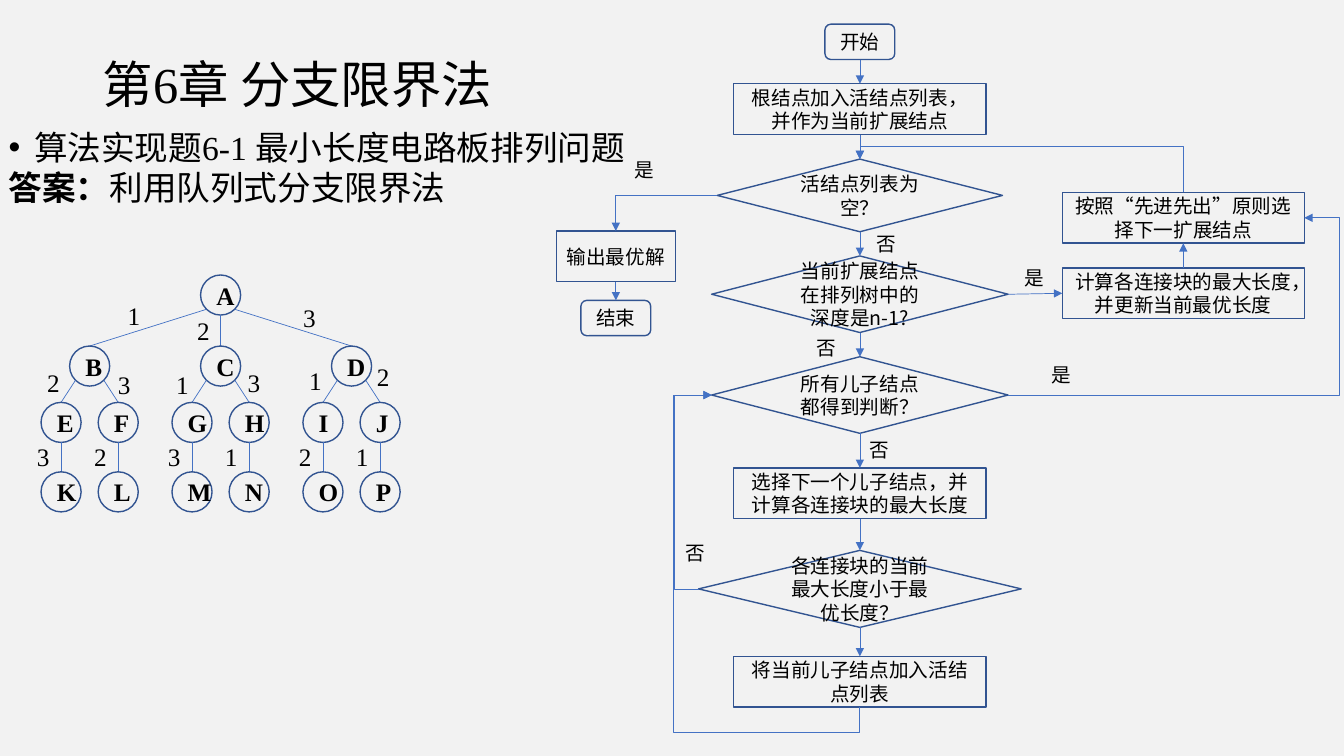
from lxml import etree
from pptx import Presentation
from pptx.dml.color import RGBColor
from pptx.enum import shapes as es, text as et
from pptx.oxml import ns
from pptx.util import Cm, Pt

# Content
TITLE = "第6章 分支限界法"
TOPIC = "算法实现题6-1 最小长度电路板排列问题"
ANSWER = [("答案：", True), ("利用队列式分支限界法", False)]

# Tree: (name, edge label, label left, label top), then inner nodes each with a leaf
TREE = [
    (("B", "1", 2.97, 7.44), [(("E", "2", 0.94, 9.14), ("K", "3")),
                              (("F", "3", 2.72, 9.17), ("L", "2"))]),
    (("C", "2", 4.72, 7.82), [(("G", "1", 4.19, 9.19), ("M", "3")),
                              (("H", "3", 5.99, 9.14), ("N", "1"))]),
    (("D", "3", 7.39, 7.49), [(("I", "1", 7.54, 9.07), ("O", "2")),
                              (("J", "2", 9.25, 8.99), ("P", "1"))]),
]
LEVELS = [6.93, 8.72, 10.14, 11.89]
ROOT_X, STEP, SPREAD, DIAM = 5.56, 3.3, 0.72, 1.01

# Flowchart: name: (kind, centre x, top, text)
MAIN, LEFT, RIGHT = 21.67, 15.52, 29.82
SIZES = {"round": (1.76, 0.89), "wide": (6.36, 1.28), "side": (6.1, 1.28),
         "small": (3, 1.28), "ask": (7.19, 1.83), "check": (7.47, 1.93),
         "test": (8.13, 1.94)}
BOXES = {
    "start": ("round", MAIN, 0.61, "开始"),
    "root": ("wide", MAIN, 2.11, "根结点加入活结点列表，并作为当前扩展结点"),
    "empty": ("ask", MAIN, 4.01, "活结点列表为空？"),
    "depth": ("check", MAIN, 6.45, "当前扩展结点在排列树中的深度是n-1?"),
    "kids": ("check", MAIN, 8.99, "所有儿子结点都得到判断？"),
    "pick": ("wide", MAIN, 11.79, "选择下一个儿子结点，并计算各连接块的最大长度"),
    "less": ("test", MAIN, 13.87, "各连接块的当前最大长度小于最优长度？"),
    "add": ("wide", MAIN, 16.54, "将当前儿子结点加入活结点列表"),
    "best": ("small", LEFT, 5.82, "输出最优解"),
    "end": ("round", LEFT, 7.57, "结束"),
    "calc": ("side", RIGHT, 6.75, "计算各连接块的最大长度，并更新当前最优长度"),
    "next": ("side", RIGHT, 4.85, "按照“先进先出”原则选择下一扩展结点"),
}
SPINE = ["start", "root", "empty", "depth", "kids", "pick", "less", "add"]
ARROWS = [(a, 2, b, 0) for a, b in zip(SPINE, SPINE[1:])] + [
    ("best", 2, "end", 0), ("depth", 3, "calc", 1), ("calc", 0, "next", 2)]
# Bent arrows: ends, then rotation, flip and bends
BENDS = [
    ("empty", 1, "best", 0, 180, "flipV", []),
    ("next", 0, "empty", 0, 270, "flipV", [1.39]),
    ("kids", 3, "next", 3, 0, "flipV", [1.12]),
    ("less", 1, "kids", 1, 180, "flipH", [-1.87]),
    ("add", 2, "kids", 1, 90, "flipH", [-0.08, 1.26]),
]
MARKS = [("是", 15.75, 3.86), ("否", 21.84, 5.72), ("否", 20.32, 8.33),
         ("是", 25.58, 6.58), ("否", 21.67, 10.92), ("否", 17.02, 13.51),
         ("是", 26.26, 9.02)]

# Style
BLACK = RGBColor(0, 0, 0)
EDGE = RGBColor(0x32, 0x54, 0x91)
BLUE = RGBColor(0x44, 0x72, 0xC4)
PAPER = RGBColor(0xF2, 0xF2, 0xF2)
SERIF, SANS = "Times New Roman", "Noto Sans CJK SC"
KINDS = es.MSO_SHAPE
FORMS = {"round": KINDS.FLOWCHART_ALTERNATE_PROCESS,
         "ask": KINDS.FLOWCHART_DECISION, "check": KINDS.FLOWCHART_DECISION,
         "test": KINDS.FLOWCHART_DECISION}

deck = Presentation()
deck.slide_width, deck.slide_height = Cm(33.87), Cm(19.05)
slide = deck.slides.add_slide(deck.slide_layouts[6])
slide.background.fill.solid()
slide.background.fill.fore_color.rgb = PAPER
items = slide.shapes


def write(par, words, size=18, face=SERIF, bold=False, align=None):
    run = par.add_run()
    run.text = words
    run.font.size, run.font.name, run.font.bold = Pt(size), face, bold
    run.font.color.rgb = BLACK
    if align is not None:
        par.alignment = align


def field(x, y, w, h, wrap=False):
    frame = items.add_textbox(Cm(x), Cm(y), Cm(w), Cm(h)).text_frame
    frame.word_wrap = wrap
    return frame


def node(form, mid, top, w, h, words, **style):
    box = items.add_shape(form, Cm(mid - w / 2), Cm(top), Cm(w), Cm(h))
    box.shadow.inherit = False
    box.fill.background()
    box.line.color.rgb, box.line.width = EDGE, Pt(1)
    box.text_frame.vertical_anchor = et.MSO_ANCHOR.MIDDLE
    write(box.text_frame.paragraphs[0], words, align=et.PP_ALIGN.CENTER, **style)
    return box


def line(x1=0, y1=0, x2=0, y2=0, kind=es.MSO_CONNECTOR.STRAIGHT):
    link = items.add_connector(kind, Cm(x1), Cm(y1), Cm(x2), Cm(y2))
    link.line.color.rgb, link.line.width = BLUE, Pt(0.5)
    etree.SubElement(link.element.spPr, ns.qn("a:effectLst"))
    return link


def arrow(a, out, b, into, **style):
    link = line(**style)
    link.begin_connect(nodes[a], out)
    link.end_connect(nodes[b], into)
    stroke = link.element.spPr.find(ns.qn("a:ln"))
    etree.SubElement(stroke, ns.qn("a:tailEnd"), type="triangle")
    return link


def bend(a, out, b, into, turn, flip, stops):
    link = arrow(a, out, b, into, kind=es.MSO_CONNECTOR.ELBOW)
    x, y, w, h = link.left, link.top, link.width, link.height
    if turn % 180:
        x, y, w, h = x + (w - h) // 2, y + (h - w) // 2, h, w
    link.left, link.top, link.width, link.height = x, y, w, h
    frame = link.element.spPr.find(ns.qn("a:xfrm"))
    for name in ("flipH", "flipV"):
        frame.attrib.pop(name, None)
    frame.set("rot", str(turn * 60000))
    frame.set(flip, "1")
    geom = link.element.spPr.find(ns.qn("a:prstGeom"))
    geom.set("prst", f"bentConnector{len(stops) + 2}")
    guides = geom.find(ns.qn("a:avLst"))
    for i, stop in enumerate(stops, 1):
        etree.SubElement(guides, ns.qn("a:gd"), name=f"adj{i}",
                         fmla=f"val {round(stop * 100000)}")


def circle(name, x, level):
    node(KINDS.OVAL, x, LEVELS[level], DIAM, DIAM, name, bold=True)


def branch(name, mark, x, level, base, left, top):
    """Draws a node, the edge from its parent at base, and the edge label."""
    side = (x > base) - (x < base)
    drop = 0.36 if side else DIAM / 2
    line(base + 0.36 * side, LEVELS[level - 1] + DIAM / 2 + drop, x, LEVELS[level])
    circle(name, x, level)
    write(field(left, top, 0.86, 1.02).paragraphs[0], mark)


# Title and body
frame = field(2.34, 1.02, 29.21, 2.36, wrap=True)
frame.vertical_anchor = et.MSO_ANCHOR.MIDDLE
frame.paragraphs[0].line_spacing = 0.9
write(frame.paragraphs[0], TITLE, size=36)

frame = field(-0.03, 3.07, 16.18, 2.67, wrap=True)
topic = frame.paragraphs[0]
write(topic, TOPIC, size=24)
props = topic._p.get_or_add_pPr()
props.set("marL", str(Cm(0.64)))
props.set("indent", str(-Cm(0.64)))
etree.SubElement(props, ns.qn("a:buFont"), typeface="Arial")
etree.SubElement(props, ns.qn("a:buChar"), char="•")
reply = frame.add_paragraph()
for words, bold in ANSWER:
    write(reply, words, size=24, bold=bold)

# Tree
circle("A", ROOT_X, 0)
for i, ((name, mark, *spot), twigs) in enumerate(TREE):
    x = ROOT_X + (i - 1) * STEP
    branch(name, mark, x, 1, ROOT_X, *spot)
    for side, (twig, leaf) in zip((-1, 1), twigs):
        low = x + side * SPREAD
        branch(*twig[:2], low, 2, x, *twig[2:])
        branch(*leaf, low, 3, low, low - 0.86, 11)

# Flowchart
nodes = {}
for key, (kind, mid, top, words) in BOXES.items():
    nodes[key] = node(FORMS.get(kind, KINDS.RECTANGLE), mid, top, *SIZES[kind],
                      words, size=14, face=SANS)
for ends in ARROWS:
    arrow(*ends)
for route in BENDS:
    bend(*route)
for words, x, y in MARKS:
    write(field(x, y, 1.02, 0.86).paragraphs[0], words, size=14, face=SANS)

deck.save("out.pptx")
